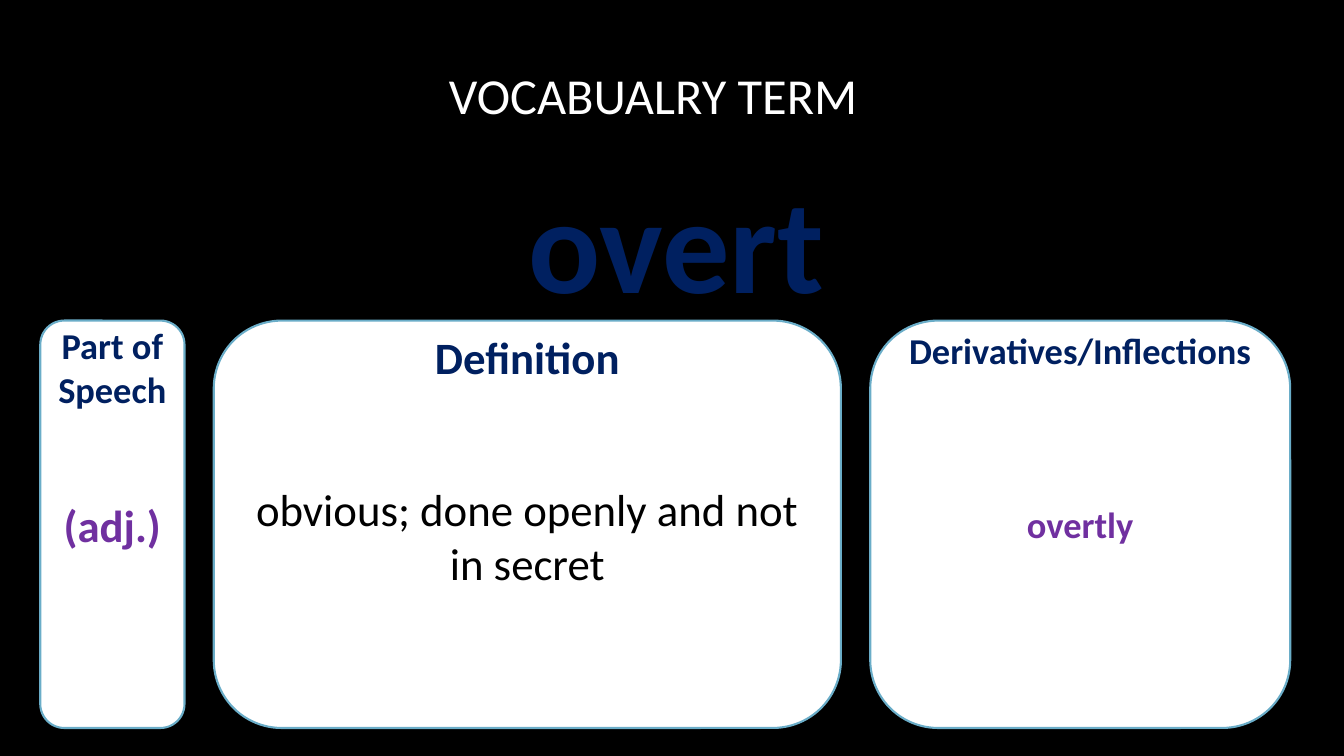
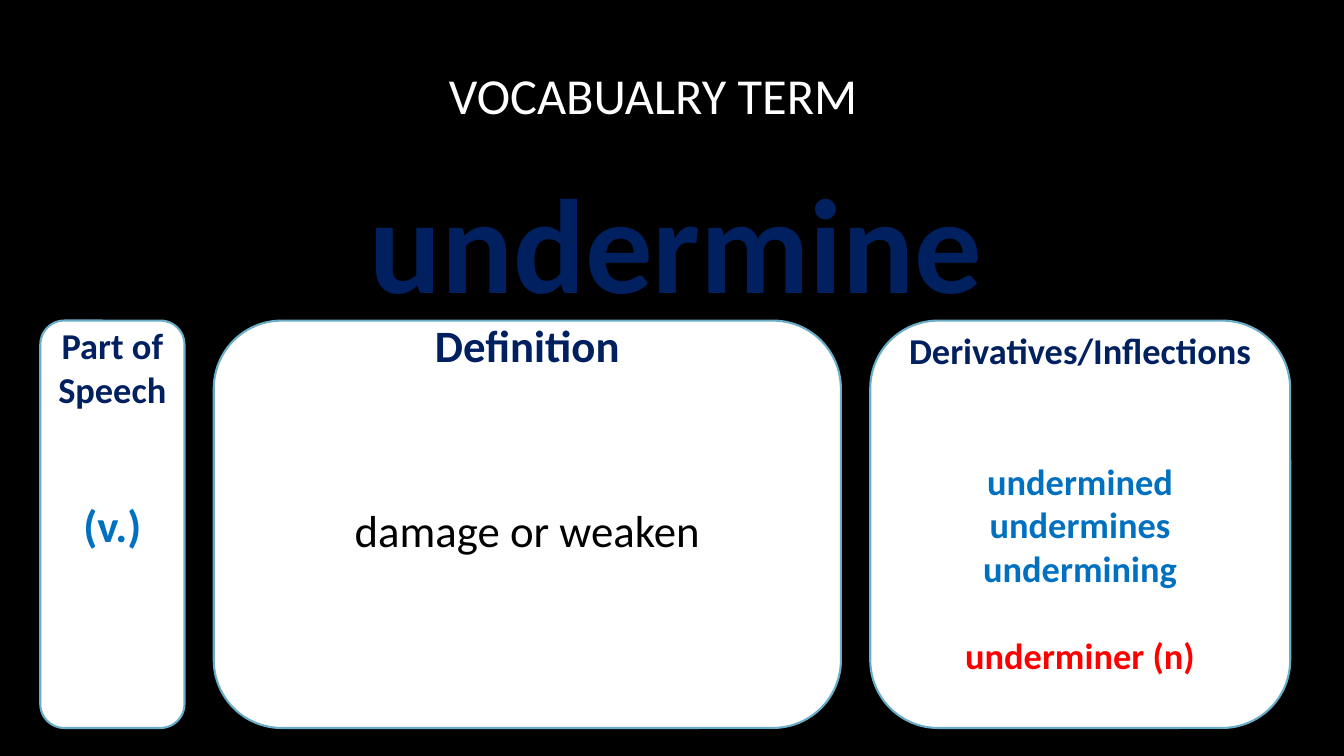
from pptx import Presentation
from pptx.dml.color import RGBColor
from pptx.enum.shapes import MSO_SHAPE
from pptx.enum.text import MSO_ANCHOR, MSO_AUTO_SIZE, PP_ALIGN
from pptx.util import Pt

ROUNDED = MSO_SHAPE.ROUNDED_RECTANGLE
TOP, MIDDLE = MSO_ANCHOR.TOP, MSO_ANCHOR.MIDDLE
CENTER = PP_ALIGN.CENTER
NO_AUTOFIT = MSO_AUTO_SIZE.NONE

# Shared style
FONT = "Calibri"
BLACK, WHITE, NAVY = "000000", "FFFFFF", "002060"
PURPLE, BLUE, RED = "7030A0", "0070C0", "FF0000"
CARD_EDGE = "6AADC8"
BANNER_LEFT, BANNER_WIDTH = 84, 798
CARD_TOP, CARD_HEIGHT, CARD_GAP = 229, 291, 20.9
FIRST_CARD_LEFT = 28.8
CARD_WIDTHS = (103, 448, 300)
HEADINGS = ("Part of Speech", "Definition", "Derivatives/Inflections")
HEADING_SIZES = (26, 32, 26)

# Each entry: (text, colour, space before); drop moves the text below centre
TERMS = [
    {"word": "overt",
     "heading_tops": (231, 235.5, 234.5),
     "entries": ([("(adj.)", PURPLE, 0)],
                 [("obvious; done openly and not in secret", BLACK, 0)],
                 [("overtly", PURPLE, 0)]),
     "drops": (0, 8, 0)},
    {"word": "undermine",
     "heading_tops": (231, 227, 234.5),
     "entries": ([("(v.)", BLUE, 0)],
                 [("damage or weaken", BLACK, 0)],
                 [("undermined", BLUE, 0), ("undermines", BLUE, 0),
                  ("undermining", BLUE, 0), ("underminer (n)", RED, 31)]),
     "drops": (0, 4, 31)},
]
ENTRY_SIZES = (32, 32, 26)
ENTRY_BOLD = (True, False, True)


def rgb(hex_colour):
    return RGBColor.from_string(hex_colour)


def write(paragraph, text, *, size, colour, bold=False, before=0):
    paragraph.alignment = CENTER
    if before:
        paragraph.space_before = Pt(before)
    run = paragraph.add_run()
    run.text = text
    run.font.name = FONT
    run.font.size = Pt(size)
    run.font.bold = bold
    run.font.color.rgb = rgb(colour)


def prepare_frame(shape, anchor):
    frame = shape.text_frame
    frame.word_wrap = True
    frame.auto_size = NO_AUTOFIT
    frame.vertical_anchor = anchor
    return frame


def add_title(slide):
    title = slide.shapes.title
    title.left, title.top = Pt(BANNER_LEFT), Pt(33)
    title.width, title.height = Pt(BANNER_WIDTH), Pt(69)
    frame = prepare_frame(title, MIDDLE)
    frame.margin_right = Pt(40)
    write(frame.paragraphs[0], "VOCABUALRY TERM", size=36, colour=WHITE)


def add_label(slide, text, left, top, width, height, *, size, anchor=TOP):
    label = slide.shapes.add_textbox(Pt(left), Pt(top), Pt(width), Pt(height))
    frame = prepare_frame(label, anchor)
    frame.margin_left = frame.margin_right = 0
    frame.margin_top = frame.margin_bottom = 0
    write(frame.paragraphs[0], text, size=size, colour=NAVY, bold=True)


def add_card(slide, left, width, entries, *, size, bold, drop):
    card = slide.shapes.add_shape(
        ROUNDED, Pt(left), Pt(CARD_TOP), Pt(width), Pt(CARD_HEIGHT))
    card.shadow.inherit = False
    card.fill.solid()
    card.fill.fore_color.rgb = rgb(WHITE)
    card.line.color.rgb = rgb(CARD_EDGE)
    card.line.width = Pt(1.5)
    frame = prepare_frame(card, MIDDLE)
    frame.margin_top = Pt(3.6 + 2 * drop)
    for index, (text, colour, before) in enumerate(entries):
        paragraph = frame.add_paragraph() if index else frame.paragraphs[0]
        write(paragraph, text, size=size, colour=colour, bold=bold,
              before=before)


def add_term_slide(prs, term):
    slide = prs.slides.add_slide(prs.slide_layouts[5])
    add_title(slide)
    add_label(slide, term["word"], BANNER_LEFT, 108, BANNER_WIDTH, 127,
              size=96, anchor=MIDDLE)

    # Three cards in a row, each with its heading
    left = FIRST_CARD_LEFT
    for column, width in enumerate(CARD_WIDTHS):
        add_card(slide, left, width, term["entries"][column],
                 size=ENTRY_SIZES[column], bold=ENTRY_BOLD[column],
                 drop=term["drops"][column])
        add_label(slide, HEADINGS[column], left, term["heading_tops"][column],
                  width, 64, size=HEADING_SIZES[column])
        left += width + CARD_GAP


def main():
    prs = Presentation()
    prs.slide_width, prs.slide_height = Pt(960), Pt(540)
    backdrop = prs.slide_master.background.fill
    backdrop.solid()
    backdrop.fore_color.rgb = rgb(BLACK)
    for term in TERMS:
        add_term_slide(prs, term)
    prs.save("out.pptx")


if __name__ == "__main__":
    main()
